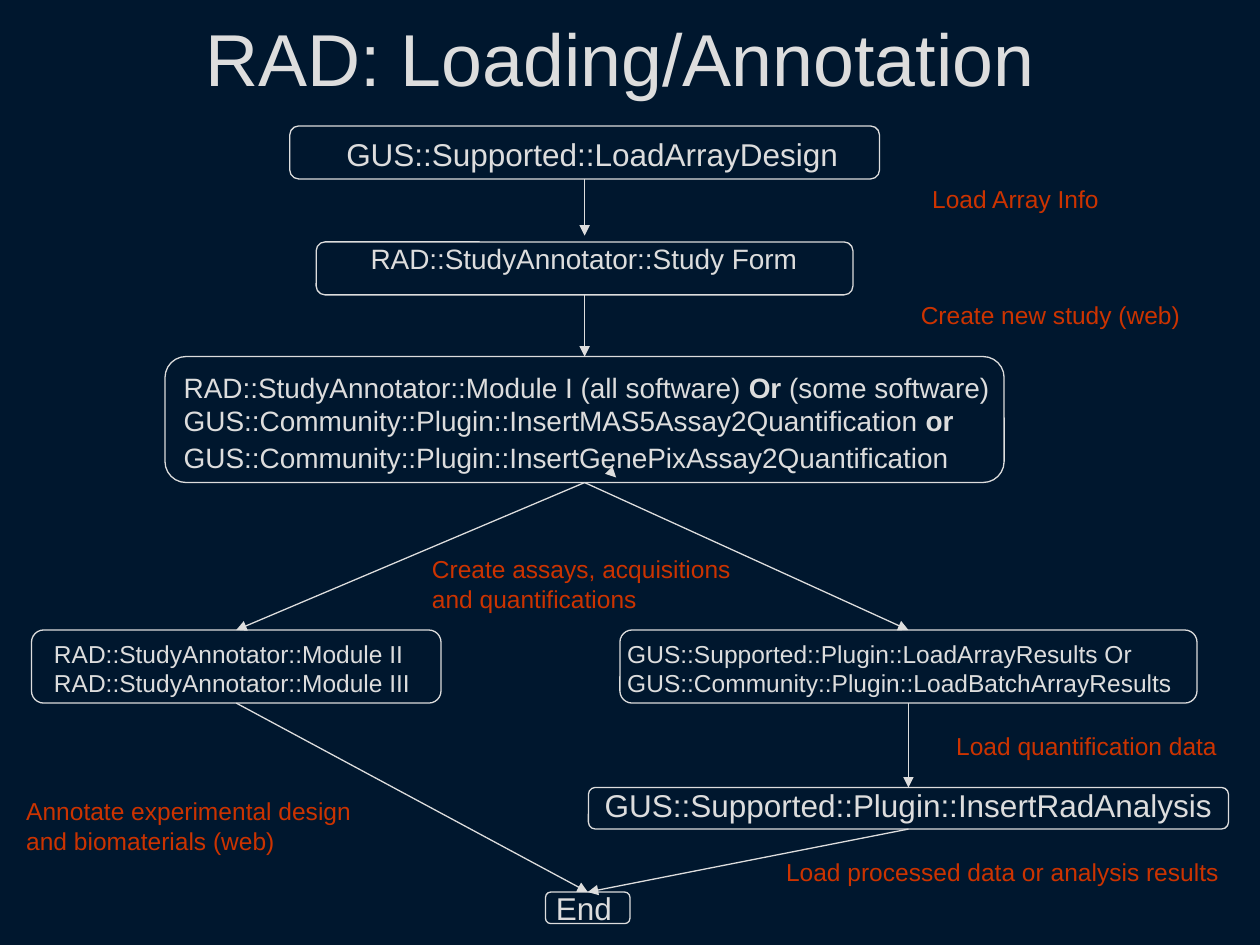
"""Build the RAD loading and annotation flowchart slide."""
from dataclasses import dataclass

from lxml import etree
from pptx import Presentation
from pptx.dml.color import RGBColor
from pptx.enum.shapes import MSO_CONNECTOR as Connector, MSO_SHAPE as Shape
from pptx.enum.text import MSO_ANCHOR as Anchor, MSO_AUTO_SIZE as AutoSize, PP_ALIGN as Align
from pptx.oxml.ns import qn
from pptx.util import Inches, Pt

TOP, BOTTOM = 0, 2


@dataclass(frozen=True)
class Theme:
    background: RGBColor = RGBColor.from_string("00172E")
    light: RGBColor = RGBColor.from_string("DDDDDD")
    accent: RGBColor = RGBColor.from_string("CC3300")
    font: str = "Arial"
    title: int = 42
    large: int = 18
    medium: int = 16
    small: int = 14
    line: float = 0.75


class FlowSlide:
    def __init__(self, slide, theme):
        self.slide = slide
        self.theme = theme
        slide.background.fill.solid()
        slide.background.fill.fore_color.rgb = theme.background

    def style_run(self, run, size, color, bold=False):
        run.font.name = self.theme.font
        run.font.size = Pt(size)
        run.font.color.rgb = color
        run.font.bold = bold

    def text(self, place, lines, size, color=None, align=Align.LEFT, wrap=False):
        shape = self.slide.shapes.add_textbox(*map(Inches, place))
        frame = shape.text_frame
        frame.text = "\n".join(lines)
        frame.word_wrap = wrap
        frame.auto_size = AutoSize.SHAPE_TO_FIT_TEXT
        for paragraph in frame.paragraphs:
            paragraph.alignment = align
            for run in paragraph.runs:
                self.style_run(run, size, color or self.theme.light)
        return frame

    def title(self, place, words):
        frame = self.text(place, [words], self.theme.title, align=Align.CENTER, wrap=True)
        frame.auto_size = AutoSize.NONE
        frame.vertical_anchor = Anchor.MIDDLE

    def rich_text(self, place, paragraphs):
        frame = self.text(place, [""] * len(paragraphs), self.theme.medium, wrap=True)
        for paragraph, runs in zip(frame.paragraphs, paragraphs):
            for words, size, bold in runs:
                run = paragraph.add_run()
                run.text = words
                self.style_run(run, size, self.theme.light, bold)

    def box(self, place):
        shape = self.slide.shapes.add_shape(Shape.ROUNDED_RECTANGLE, *map(Inches, place))
        shape.shadow.inherit = False
        shape.fill.background()
        shape.line.color.rgb = self.theme.light
        shape.line.width = Pt(self.theme.line)
        return shape

    def arrow(self, start, end, source=None, target=None):
        connector = self.slide.shapes.add_connector(
            Connector.STRAIGHT, *map(Inches, (*start, *end)))
        if source is not None:
            connector.begin_connect(source, BOTTOM)
        if target is not None:
            connector.end_connect(target, TOP)
        connector.line.color.rgb = self.theme.light
        connector.line.width = Pt(self.theme.line)
        properties = connector.element.spPr
        etree.SubElement(properties.find(qn("a:ln")), qn("a:tailEnd"), type="triangle")
        etree.SubElement(properties, qn("a:effectLst"))


def main():
    theme = Theme()
    presentation = Presentation()
    presentation.slide_width, presentation.slide_height = Inches(10), Inches(7.5)
    flow = FlowSlide(presentation.slides.add_slide(presentation.slide_layouts[6]), theme)

    flow.title((0.67, -0.17, 8.5, 1.25), "RAD: Loading/Annotation")

    flow.text((2.65, 1.02, 4.2, 0.4), ["GUS::Supported::LoadArrayDesign"], theme.large)
    flow.text((0.33, 5.02, 3.03, 0.57),
              ["RAD::StudyAnnotator::Module II", "RAD::StudyAnnotator::Module III"], theme.small)
    flow.text((4.88, 5.02, 4.67, 0.57),
              ["GUS::Supported::Plugin::LoadArrayResults Or "
               "GUS::Community::Plugin::LoadBatchArrayResults"], theme.small, wrap=True)
    centred_steps = [
        ((2.47, 1.87, 4.33, 0.37), "RAD::StudyAnnotator::Study Form", theme.medium),
        ((4.68, 6.19, 5.06, 0.4), "GUS::Supported::Plugin::InsertRadAnalysis", theme.large),
        ((3.97, 7.01, 1.33, 0.4), "End", theme.large),
    ]
    for place, words, size in centred_steps:
        flow.text(place, [words], size, align=Align.CENTER, wrap=True)

    flow.rich_text((1.36, 2.89, 7.06, 0.94), [
        [("RAD::StudyAnnotator::Module I (all software) ", theme.medium, False),
         ("Or", theme.medium, True),
         (" (some software)", theme.medium, False)],
        [("GUS::Community::Plugin::InsertMAS5Assay2Quantification ", theme.medium, False),
         ("or", theme.medium, True),
         (" GUS::Community::Plugin::InsertGenePixAssay2Quantification", theme.medium, False),
         (" ", theme.large, False)],
    ])

    captions = [
        ((7.3, 1.41, 1.6, 0.34), ["Load Array Info"]),
        ((7.21, 2.33, 2.3, 0.34), ["Create new study (web)"]),
        ((3.33, 4.35, 2.7, 0.57), ["Create assays, acquisitions", "and quantifications"]),
        ((7.49, 5.75, 2.35, 0.34), ["Load quantification data"]),
        ((6.14, 6.75, 3.75, 0.34), ["Load processed data or analysis results"]),
        ((0.11, 6.27, 2.85, 0.57), ["Annotate experimental design", "and biomaterials (web)"]),
    ]
    for place, lines in captions:
        flow.text(place, lines, theme.small, theme.accent)

    design = flow.box((2.3, 1, 4.68, 0.42))
    study = flow.box((2.51, 1.92, 4.26, 0.42))
    assays = flow.box((1.31, 2.83, 6.66, 1))
    modules = flow.box((0.25, 5, 3.25, 0.58))
    results = flow.box((4.92, 5, 4.58, 0.58))
    end = flow.box((4.33, 7.08, 0.67, 0.25))
    analysis = flow.box((4.67, 6.25, 5.08, 0.33))

    flow.arrow((4.88, 3.78), (4.89, 3.79))
    flow.arrow((4.64, 1.42), (4.64, 1.87), design)
    flow.arrow((4.64, 2.33), (4.64, 2.83), study, assays)
    flow.arrow((4.64, 3.83), (1.87, 5), assays, modules)
    flow.arrow((4.64, 3.83), (7.21, 5), assays, results)
    flow.arrow((7.21, 5.58), (7.21, 6.25), results, analysis)
    flow.arrow((1.88, 5.58), (4.67, 7.08), modules, end)
    flow.arrow((7.21, 6.58), (4.67, 7.08), analysis, end)

    presentation.save("out.pptx")


if __name__ == "__main__":
    main()
